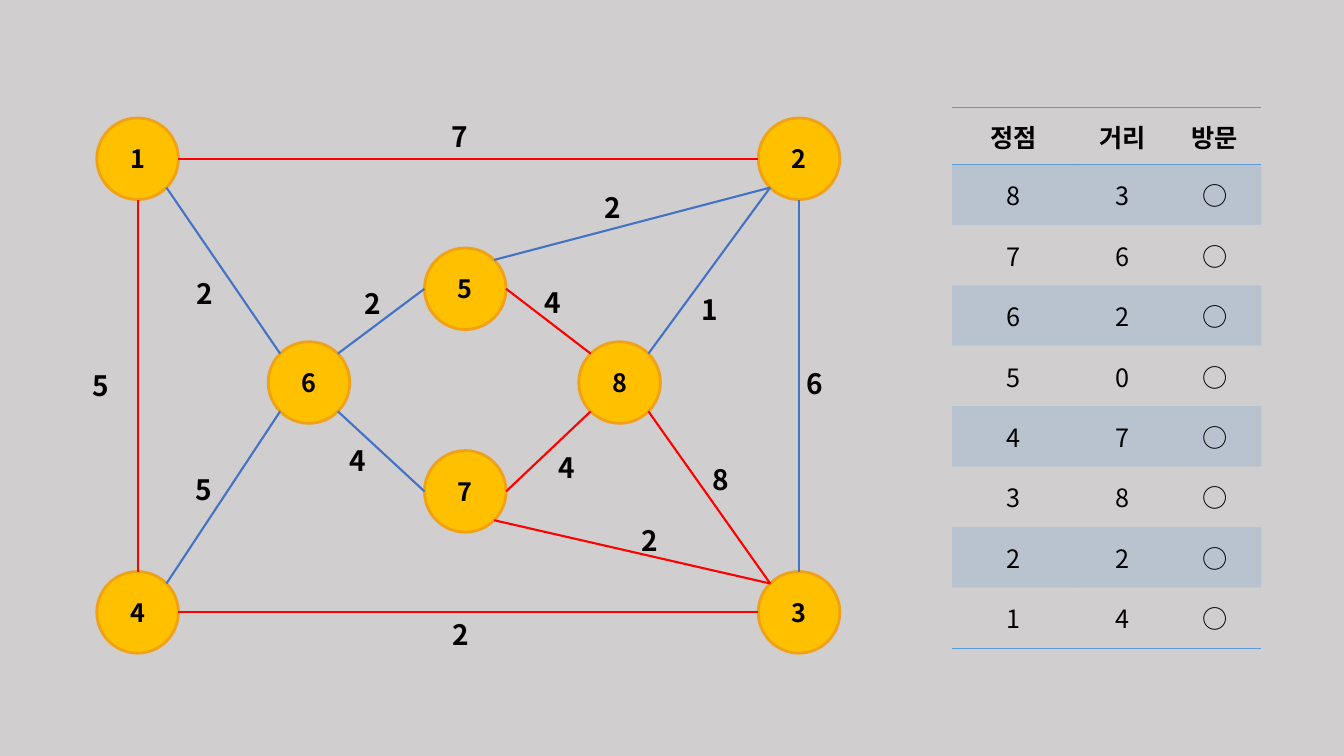
import math

import pptx
import pptx.dml.color
import pptx.enum.shapes
import pptx.enum.text
import pptx.oxml.ns
import pptx.util
from lxml import etree

Inches = pptx.util.Inches
Pt = pptx.util.Pt
RGBColor = pptx.dml.color.RGBColor

FONT = "Noto Sans CJK KR"
BACKGROUND = RGBColor(0xD0, 0xCE, 0xCE)
BLACK = RGBColor(0x00, 0x00, 0x00)
NODE_FILL = RGBColor(0xFF, 0xC0, 0x00)
NODE_LINE = RGBColor(0xF1, 0xA1, 0x16)
RED = RGBColor(0xFF, 0x00, 0x00)
BLUE = RGBColor(0x44, 0x72, 0xC4)
TABLE_BLUE = RGBColor(0x5B, 0x9B, 0xD5)

HEADER = ("정점", "거리", "방문")
DISTANCES = [(8, 3), (7, 6), (6, 2), (5, 0), (4, 7), (3, 8), (2, 2), (1, 4)]
VISITED = "○"
TABLE_LEFT, TABLE_TOP = 9.44, 1.07
COLUMN_WIDTHS = (1.23, 0.92, 0.92)
HEADER_HEIGHT, ROW_HEIGHT = 0.56, 0.6
NO_STYLE = "{2D5ABB26-0587-4C30-8999-92F81FD0307C}"

NODE_SIZE = 0.81
NODES = {  # number: left, top
    1: (0.96, 1.17), 2: (7.52, 1.17), 4: (0.96, 5.67), 3: (7.52, 5.67),
    5: (4.21, 2.46), 7: (4.21, 4.47), 8: (5.74, 3.39), 6: (2.66, 3.39),
}
# Clockwise angle of each point on a node where an edge may end
SIDES = {"E": 0, "SE": 45, "S": 90, "SW": 135, "W": 180, "NW": 225, "N": 270, "NE": 315}

EDGES = [  # from node, side, to node, side, colour, weight, weight left, weight top
    (1, "E", 2, "W", RED, 7, 4.38, 1.14),
    (1, "SE", 6, "NW", BLUE, 2, 1.85, 2.69),
    (4, "NE", 6, "SW", BLUE, 5, 1.84, 4.64),
    (4, "N", 1, "S", RED, 5, 0.82, 3.61),
    (4, "E", 3, "W", RED, 2, 4.39, 6.08),
    (6, "SE", 7, "W", BLUE, 4, 3.37, 4.35),
    (6, "NE", 5, "W", BLUE, 2, 3.52, 2.79),
    (5, "E", 8, "NW", RED, 4, 5.3, 2.78),
    (8, "SE", 3, "NW", RED, 8, 6.97, 4.54),
    (8, "NE", 2, "SW", BLUE, 1, 6.86, 2.85),
    (3, "N", 2, "S", BLUE, 6, 7.9, 3.59),
    (7, "E", 8, "SW", RED, 4, 5.44, 4.42),
    (5, "NE", 2, "SW", BLUE, 2, 5.9, 1.84),
    (7, "SE", 3, "NW", RED, 2, 6.26, 5.14),
]


def write(text_frame, text, size, bold, centred=True):
    paragraph = text_frame.paragraphs[0]
    if centred:
        paragraph.alignment = pptx.enum.text.PP_ALIGN.CENTER
    run = paragraph.add_run()
    run.text = str(text)
    run.font.size = Pt(size)
    run.font.bold = bold
    run.font.name = FONT
    run.font.color.rgb = BLACK
    east_asian = etree.SubElement(run.font._element, pptx.oxml.ns.qn("a:ea"))
    east_asian.set("typeface", FONT)


def add_border(cell, tag):
    line = etree.SubElement(cell._tc.get_or_add_tcPr(), pptx.oxml.ns.qn(tag), w=str(Pt(1)))
    fill = etree.SubElement(line, pptx.oxml.ns.qn("a:solidFill"))
    etree.SubElement(fill, pptx.oxml.ns.qn("a:srgbClr"), val=str(TABLE_BLUE))


def add_band(cell):
    """Fill the cell with the table colour at 20 % opacity."""
    cell.fill.solid()
    cell.fill.fore_color.rgb = TABLE_BLUE
    color = cell._tc.tcPr.find("./a:solidFill/a:srgbClr", pptx.oxml.ns._nsmap)
    etree.SubElement(color, pptx.oxml.ns.qn("a:alpha"), val="20000")


def add_distance_table(slide):
    rows = [HEADER] + [(vertex, distance, VISITED) for vertex, distance in DISTANCES]
    height = HEADER_HEIGHT + ROW_HEIGHT * len(DISTANCES)
    frame = slide.shapes.add_table(
        len(rows), len(HEADER), Inches(TABLE_LEFT), Inches(TABLE_TOP),
        Inches(sum(COLUMN_WIDTHS)), Inches(height))
    table = frame.table
    table._tbl.tblPr.find(pptx.oxml.ns.qn("a:tableStyleId")).text = NO_STYLE
    for column, width in zip(table.columns, COLUMN_WIDTHS):
        column.width = Inches(width)
    for row_index, values in enumerate(rows):
        is_header = row_index == 0
        table.rows[row_index].height = Inches(HEADER_HEIGHT if is_header else ROW_HEIGHT)
        for column_index, value in enumerate(values):
            cell = table.cell(row_index, column_index)
            cell.vertical_anchor = pptx.enum.text.MSO_ANCHOR.MIDDLE
            write(cell.text_frame, value, 18, is_header)
            if is_header:
                add_border(cell, "a:lnT")
            if is_header or row_index == len(rows) - 1:
                add_border(cell, "a:lnB")
            if row_index % 2:
                add_band(cell)
            else:
                cell.fill.background()


def add_node(slide, number, left, top):
    node = slide.shapes.add_shape(
        pptx.enum.shapes.MSO_SHAPE.OVAL, Inches(left), Inches(top),
        Inches(NODE_SIZE), Inches(NODE_SIZE))
    node.shadow.inherit = False
    node.fill.solid()
    node.fill.fore_color.rgb = NODE_FILL
    node.line.color.rgb = NODE_LINE
    node.line.width = Pt(2)
    node.text_frame.vertical_anchor = pptx.enum.text.MSO_ANCHOR.MIDDLE
    write(node.text_frame, number, 18, True)


def edge_end(number, side):
    left, top = NODES[number]
    angle = math.radians(SIDES[side])
    radius = NODE_SIZE / 2
    return (Inches(left + radius * (1 + math.cos(angle))),
            Inches(top + radius * (1 + math.sin(angle))))


def add_edge(slide, start, end, color):
    edge = slide.shapes.add_connector(
        pptx.enum.shapes.MSO_CONNECTOR.STRAIGHT, *start, *end)
    edge.line.color.rgb = color
    edge.line.width = Pt(1.5)
    etree.SubElement(edge._element.spPr, pptx.oxml.ns.qn("a:effectLst"))


def add_weight(slide, weight, left, top):
    box = slide.shapes.add_textbox(Inches(left), Inches(top), Inches(0.36), Inches(0.44))
    box.text_frame.word_wrap = False
    box.text_frame.auto_size = pptx.enum.text.MSO_AUTO_SIZE.SHAPE_TO_FIT_TEXT
    write(box.text_frame, weight, 20, True, centred=False)


def main():
    presentation = pptx.Presentation()
    presentation.slide_width = Inches(13.33)
    presentation.slide_height = Inches(7.5)
    slide = presentation.slides.add_slide(presentation.slide_layouts[6])
    slide.background.fill.solid()
    slide.background.fill.fore_color.rgb = BACKGROUND

    add_distance_table(slide)
    for number, (left, top) in NODES.items():
        add_node(slide, number, left, top)
    for start, start_side, end, end_side, color, weight, left, top in EDGES:
        add_edge(slide, edge_end(start, start_side), edge_end(end, end_side), color)
        add_weight(slide, weight, left, top)

    presentation.save("out.pptx")


if __name__ == "__main__":
    main()
